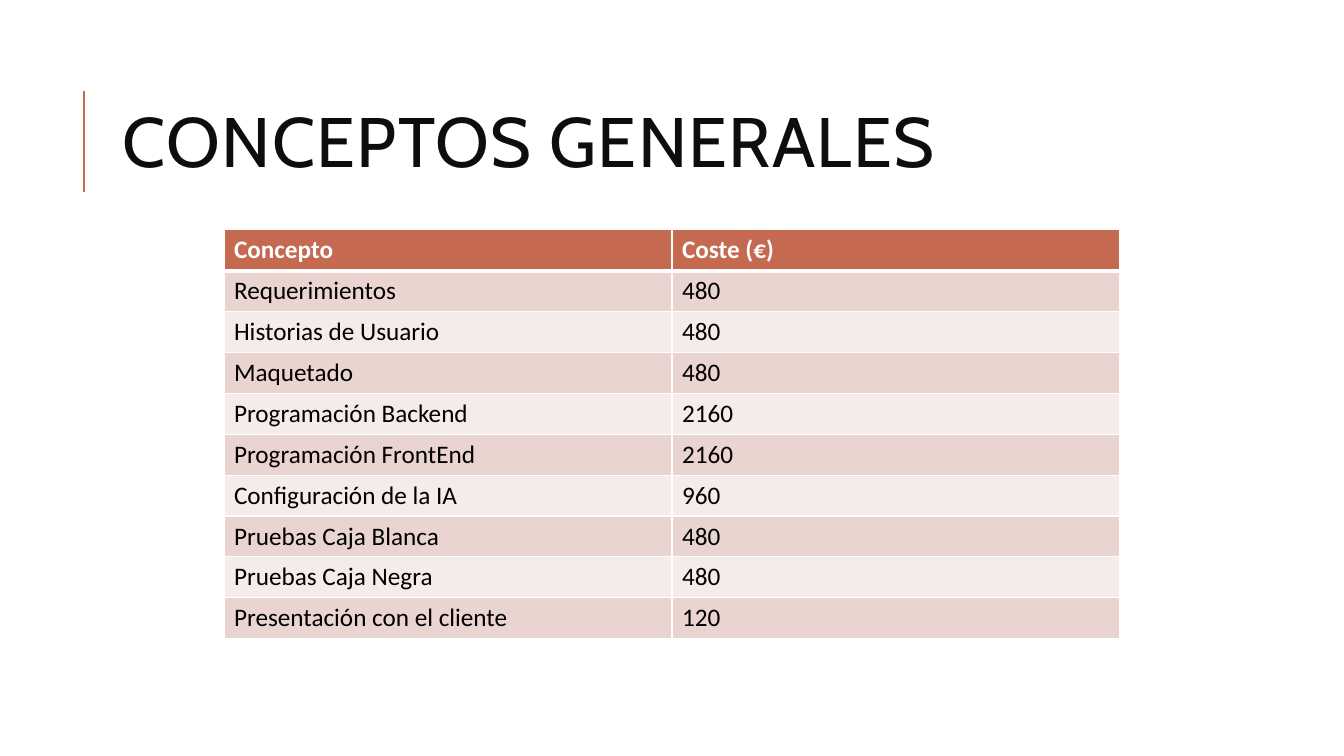
from dataclasses import dataclass

from lxml import etree
from pptx import Presentation
from pptx.dml.color import RGBColor
from pptx.enum.shapes import MSO_CONNECTOR
from pptx.enum.text import MSO_ANCHOR
from pptx.oxml.ns import qn
from pptx.util import Pt

STRAIGHT = MSO_CONNECTOR.STRAIGHT
MIDDLE = MSO_ANCHOR.MIDDLE

COLORS = {
    "accent": "C66951",
    "title": "0D0D0D",
    "white": "FFFFFF",
    "black": "000000",
    "band_dark": "EAD4D0",
    "band_light": "F5EBE9",
}
TITLE_FONT = "Cabin"
TABLE_FONT = "Calibri"
ROW_HEIGHT = 29.2
COLUMN_WIDTH = 320
THIN, THICK = 1, 3


@dataclass
class Cost:
    concept: str
    amount: str


HEADER = Cost("Concepto", "Coste (€)")
COSTS = [
    Cost("Requerimientos", "480"),
    Cost("Historias de Usuario", "480"),
    Cost("Maquetado", "480"),
    Cost("Programación Backend", "2160"),
    Cost("Programación FrontEnd", "2160"),
    Cost("Configuración de la IA", "960"),
    Cost("Pruebas Caja Blanca", "480"),
    Cost("Pruebas Caja Negra", "480"),
    Cost("Presentación con el cliente", "120"),
]


def rgb(name: str) -> RGBColor:
    return RGBColor.from_string(COLORS[name])


def style_run(r, font: str, size: float, color: str, bold: bool = False) -> None:
    r.font.name = font
    r.font.size = Pt(size)
    r.font.color.rgb = rgb(color)
    r.font.bold = bold


def add_accent_line(s) -> None:
    line = s.shapes.add_connector(STRAIGHT, Pt(60), Pt(136.8), Pt(60), Pt(64.8))
    line.line.color.rgb = rgb("accent")
    line.line.width = Pt(1.5)
    etree.SubElement(line._element.spPr, qn("a:effectLst"))


def add_title(s, text: str) -> None:
    sp = s.shapes.add_textbox(Pt(80.64), Pt(46), Pt(765.36), Pt(118))
    tf = sp.text_frame
    tf.word_wrap = True
    tf.vertical_anchor = MIDDLE
    tf.text = text
    p = tf.paragraphs[0]
    p.line_spacing = 0.8
    r = p.runs[0]
    style_run(r, TITLE_FONT, 50, "title")
    r._r.get_or_add_rPr().set("spc", "100")


def set_borders(cell, top: float, bottom: float) -> None:
    widths = {"a:lnL": THIN, "a:lnR": THIN, "a:lnT": top, "a:lnB": bottom}
    for tag, width in widths.items():
        ln = etree.SubElement(cell._tc.get_or_add_tcPr(), qn(tag), w=str(Pt(width)))
        fill = etree.SubElement(ln, qn("a:solidFill"))
        etree.SubElement(fill, qn("a:srgbClr"), val=COLORS["white"])


def add_cost_table(s, header: Cost, costs: list[Cost]) -> None:
    rows = [header, *costs]
    table = s.shapes.add_table(
        len(rows), 2, Pt(160), Pt(164.2), Pt(2 * COLUMN_WIDTH), Pt(ROW_HEIGHT * len(rows))
    ).table
    for column in table.columns:
        column.width = Pt(COLUMN_WIDTH)
    for i, cost in enumerate(rows):
        table.rows[i].height = Pt(ROW_HEIGHT)
        is_header = i == 0
        band = "accent" if is_header else "band_dark" if i % 2 else "band_light"
        for j, text in enumerate((cost.concept, cost.amount)):
            cell = table.cell(i, j)
            set_borders(cell, THICK if i == 1 else THIN, THICK if is_header else THIN)
            cell.fill.solid()
            cell.fill.fore_color.rgb = rgb(band)
            cell.text_frame.text = text
            r = cell.text_frame.paragraphs[0].runs[0]
            style_run(r, TABLE_FONT, 18, "white" if is_header else "black", is_header)


def main() -> None:
    prs = Presentation()
    prs.slide_width, prs.slide_height = Pt(960), Pt(540)
    s = prs.slides.add_slide(prs.slide_layouts[6])
    add_accent_line(s)
    add_title(s, "CONCEPTOS GENERALES")
    add_cost_table(s, HEADER, COSTS)
    prs.save("out.pptx")


if __name__ == "__main__":
    main()
